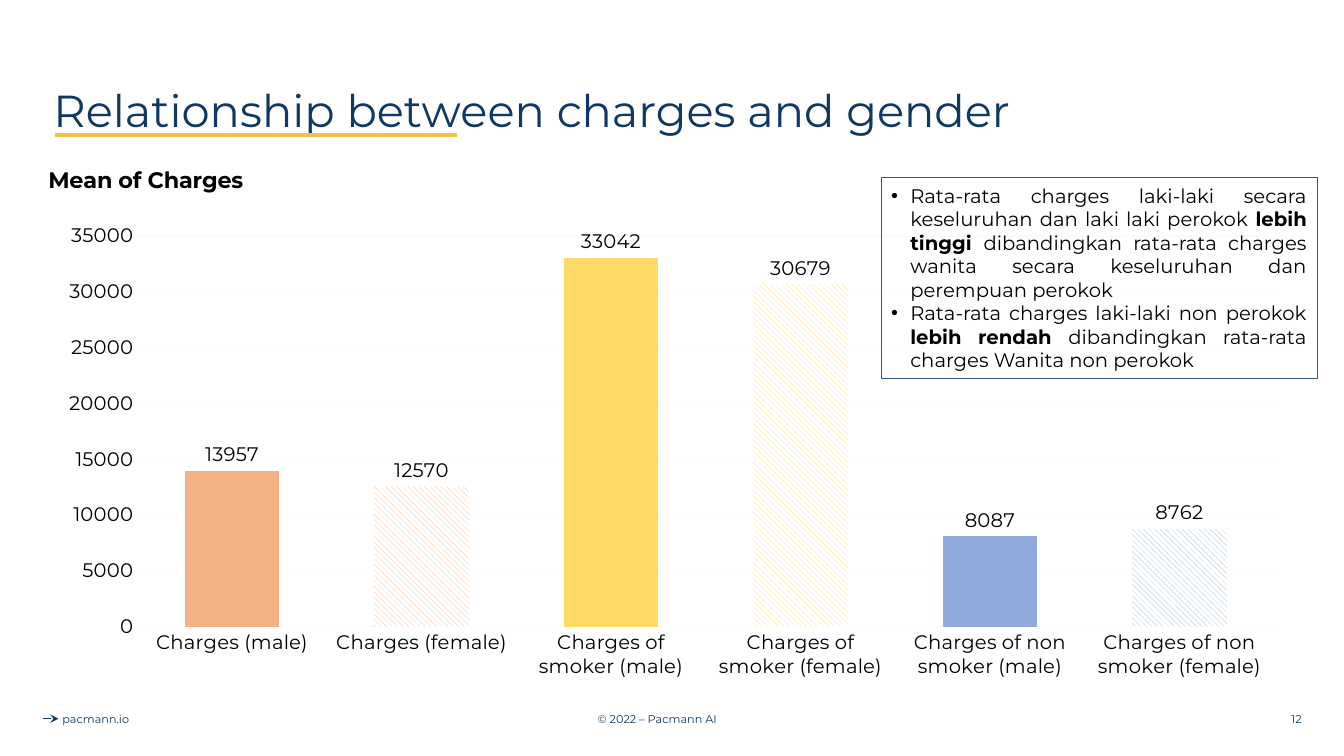
from lxml import etree
from pptx import Presentation
from pptx import util as u
from pptx.chart.data import CategoryChartData
from pptx.dml.color import RGBColor
from pptx.enum import chart as charts, dml, shapes, text
from pptx.oxml.ns import qn

NAVY = RGBColor(0x10, 0x38, 0x64)
GOLD = RGBColor(0xF3, 0xC1, 0x45)
BORDER = RGBColor(0x32, 0x54, 0x91)
BLACK = RGBColor(0, 0, 0)
WHITE = RGBColor(0xFF, 0xFF, 0xFF)
GRID = RGBColor(0xFB, 0xFB, 0xFB)
GROUP_COLORS = [
    RGBColor(0xF4, 0xB1, 0x83),
    RGBColor(0xFF, 0xD9, 0x66),
    RGBColor(0x8F, 0xAA, 0xDC),
]
FONT = "Montserrat"

MEAN_CHARGES = {
    "Charges (male)": 13957,
    "Charges (female)": 12570,
    "Charges of smoker (male)": 33042,
    "Charges of smoker (female)": 30679,
    "Charges of non smoker (male)": 8087,
    "Charges of non smoker (female)": 8762,
}
FINDINGS = [
    ("Rata-rata charges laki-laki secara keseluruhan dan laki laki perokok ",
     "lebih tinggi ",
     "dibandingkan rata-rata charges wanita secara keseluruhan dan perempuan perokok"),
    ("Rata-rata charges laki-laki non perokok ",
     "lebih rendah ",
     "dibandingkan rata-rata charges Wanita non perokok"),
]


def style_font(font, size, color, bold=False):
    """Apply the deck font with a size, colour and weight."""
    font.name = FONT
    font.size = u.Pt(size)
    font.bold = bold
    font.color.rgb = color


def add_rule(slide, left, top, length, color, weight):
    """Draw a horizontal line without shadow."""
    rule = slide.shapes.add_connector(
        shapes.MSO_CONNECTOR.STRAIGHT, u.Inches(left), u.Inches(top),
        u.Inches(left + length), u.Inches(top))
    rule.line.color.rgb = color
    rule.line.width = u.Pt(weight)
    etree.SubElement(rule._element.spPr, qn("a:effectLst"))
    return rule


def add_heading(slide, left, top, width, height):
    """Place the slide title over its gold underline."""
    add_rule(slide, left + 0.12, top + 0.94, 3.98, GOLD, 2.25)
    title = slide.shapes.title
    title.left, title.top = u.Inches(left), u.Inches(top)
    title.width, title.height = u.Inches(width), u.Inches(height)
    frame = title.text_frame
    frame.text = "Relationship between charges and gender"
    frame.vertical_anchor = text.MSO_ANCHOR.MIDDLE
    frame.auto_size = text.MSO_AUTO_SIZE.NONE
    line = frame.paragraphs[0]
    line.alignment = text.PP_ALIGN.LEFT
    line.line_spacing = 0.9
    style_font(line.runs[0].font, 32, NAVY)


def add_footer(slide, top, height):
    """Place the site, copyright and page number along the bottom."""
    arrow = add_rule(slide, 0.43, top + height / 2, 0.15, NAVY, 0.75)
    etree.SubElement(arrow.line._get_or_add_ln(), qn("a:tailEnd"), type="stealth")
    center, right = text.PP_ALIGN.CENTER, text.PP_ALIGN.RIGHT
    for words, left, width, alignment in [
        ("© 2022 – Pacmann AI", 4.27, 4.5, center),
        ("pacmann.io", -1.3, 4.5, center),
        ("12", 10.01, 3, right),
    ]:
        note = slide.shapes.add_textbox(
            u.Inches(left), u.Inches(top), u.Inches(width), u.Inches(height))
        frame = note.text_frame
        frame.word_wrap = True
        frame.vertical_anchor = text.MSO_ANCHOR.MIDDLE
        frame.text = words
        frame.paragraphs[0].alignment = alignment
        style_font(frame.paragraphs[0].runs[0].font, 8, NAVY)


def set_layout(parent, index, **values):
    """Give a chart part a manual layout in fractions of the chart."""
    for old in parent.findall(qn("c:layout")):
        parent.remove(old)
    layout = parent.makeelement(qn("c:layout"), {})
    parent.insert(index, layout)
    manual = etree.SubElement(layout, qn("c:manualLayout"))
    for tag, value in values.items():
        etree.SubElement(manual, qn(f"c:{tag}"), val=str(value))


def add_charges_chart(slide, left, top, width, height):
    """Draw mean charges as columns, solid for male and hatched for female."""
    data = CategoryChartData()
    data.categories = list(MEAN_CHARGES)
    data.add_series("Series 1", list(MEAN_CHARGES.values()))
    chart = slide.shapes.add_chart(
        charts.XL_CHART_TYPE.COLUMN_CLUSTERED, u.Inches(left), u.Inches(top),
        u.Inches(width), u.Inches(height), data).chart
    style_font(chart.font, 14, BLACK)
    chart.has_legend = False

    chart.has_title = True
    heading = chart.chart_title.text_frame
    heading.text = "Mean of Charges"
    style_font(heading.paragraphs[0].runs[0].font, 16, BLACK, bold=True)
    set_layout(chart.chart_title._element, 1,
               xMode="edge", yMode="edge", x=0.0, y=0.01)
    set_layout(chart._chartSpace.chart.plotArea, 0, layoutTarget="inner",
               xMode="edge", yMode="edge", x=0.074, y=0.151, w=0.905, h=0.73)

    for axis in (chart.category_axis, chart.value_axis):
        axis.major_tick_mark = axis.minor_tick_mark = charts.XL_TICK_MARK.NONE
        style_font(axis.tick_labels.font, 14, BLACK)
    chart.category_axis.format.line.color.rgb = GRID
    chart.category_axis.format.line.width = u.Pt(0.75)
    amounts = chart.value_axis
    amounts.minimum_scale, amounts.maximum_scale = 0, 35000
    amounts.major_unit = 5000
    amounts.format.line.fill.background()
    amounts.major_gridlines.format.line.color.rgb = GRID
    amounts.major_gridlines.format.line.width = u.Pt(0.75)

    plot = chart.plots[0]
    plot.gap_width, plot.overlap = 100, -24
    plot.vary_by_categories = False
    plot.has_data_labels = True
    labels = plot.data_labels
    labels.show_value = True
    labels.position = charts.XL_LABEL_POSITION.OUTSIDE_END
    style_font(labels.font, 14, BLACK)
    for index in range(len(MEAN_CHARGES)):
        color = GROUP_COLORS[index // 2]
        fill = plot.series[0].points[index].format.fill
        if index % 2:
            fill.patterned()
            fill.pattern = dml.MSO_PATTERN.WIDE_DOWNWARD_DIAGONAL
            fill.fore_color.rgb = color
            fill.back_color.rgb = WHITE
        else:
            fill.solid()
            fill.fore_color.rgb = color


def add_findings(slide, left, top, width, height):
    """Place the outlined box of bulleted findings."""
    box = slide.shapes.add_shape(
        shapes.MSO_SHAPE.RECTANGLE, u.Inches(left), u.Inches(top),
        u.Inches(width), u.Inches(height))
    box.shadow.inherit = False
    box.fill.background()
    box.line.color.rgb = BORDER
    box.line.width = u.Pt(0.25)
    frame = box.text_frame
    frame.word_wrap = True
    frame.vertical_anchor = text.MSO_ANCHOR.MIDDLE
    for index, parts in enumerate(FINDINGS):
        finding = frame.add_paragraph() if index else frame.paragraphs[0]
        finding.alignment = text.PP_ALIGN.JUSTIFY
        props = finding._p.get_or_add_pPr()
        props.set("marL", str(u.Inches(0.19)))
        props.set("indent", str(-u.Inches(0.19)))
        bullet_color = etree.SubElement(props, qn("a:buClr"))
        etree.SubElement(bullet_color, qn("a:srgbClr"), val=str(BLACK))
        etree.SubElement(props, qn("a:buFont"), typeface="Arial")
        etree.SubElement(props, qn("a:buChar"), char="•")
        for position, words in enumerate(parts):
            run = finding.add_run()
            run.text = words
            style_font(run.font, 14, BLACK, bold=position == 1)


def main():
    """Build and save the slide."""
    deck = Presentation()
    deck.slide_width, deck.slide_height = u.Inches(13.33), u.Inches(7.5)
    slide = deck.slides.add_slide(deck.slide_layouts[5])
    add_footer(slide, 6.93, 0.4)
    add_heading(slide, 0.43, 0.4, 12.47, 1.45)
    add_charges_chart(slide, 0.44, 1.54, 12.46, 5.31)
    add_findings(slide, 8.74, 1.76, 4.32, 1.99)
    deck.save("out.pptx")


if __name__ == "__main__":
    main()
